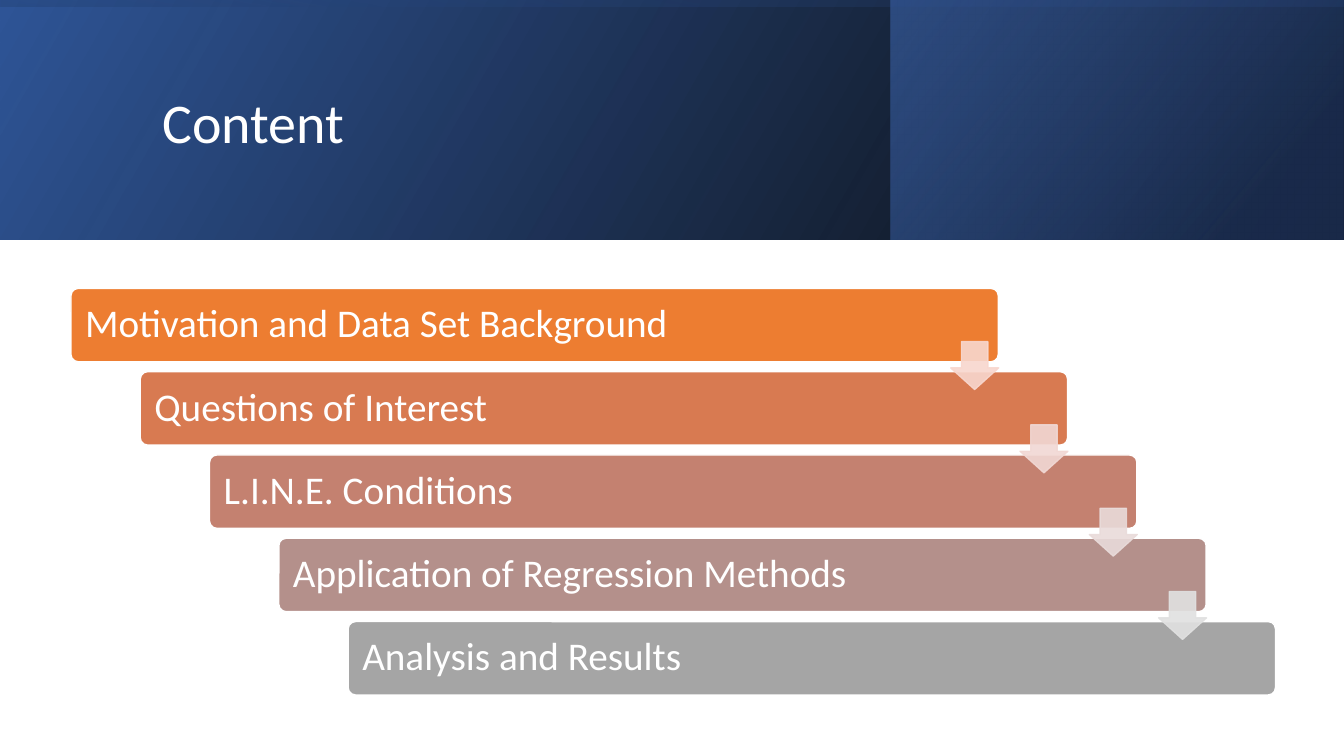
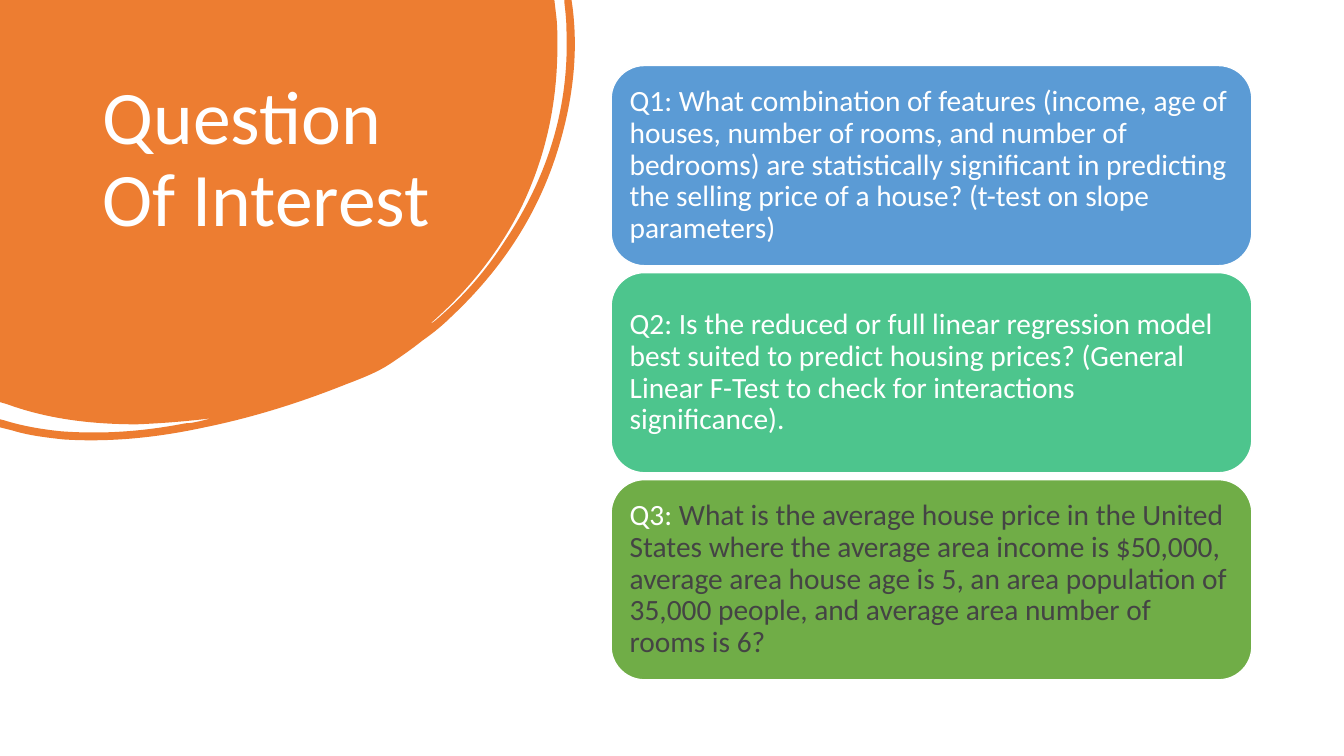
"""Build the content and question slides of a housing price regression talk."""
import lxml.etree
import pptx
import pptx.dml.color
import pptx.enum.shapes
import pptx.enum.text
import pptx.oxml.ns
import pptx.util

Pt = pptx.util.Pt
MSO = pptx.enum.shapes.MSO_SHAPE
ANCHOR = pptx.enum.text.MSO_ANCHOR
color = pptx.dml.color.RGBColor.from_string
qn = pptx.oxml.ns.qn
WHITE, ORANGE = "FFFFFF", "ED7D31"


def add_block(slide, kind, box, fill, line):
    block = slide.shapes.add_shape(kind, *[Pt(length) for length in box])
    block.shadow.inherit = False
    block.fill.solid()
    block.fill.fore_color.rgb = color(fill)
    block.line.color.rgb = color(line)
    block.line.width = Pt(1)
    return block


def write_text(shape, parts, size, anchor, margin=None):
    frame = shape.text_frame
    frame.word_wrap = True
    frame.auto_size = pptx.enum.text.MSO_AUTO_SIZE.NONE
    frame.vertical_anchor = anchor
    if margin:
        frame.margin_left = frame.margin_right = Pt(margin)
        frame.margin_top = frame.margin_bottom = Pt(margin)
    paragraph = frame.paragraphs[0]
    paragraph.alignment = pptx.enum.text.PP_ALIGN.LEFT
    paragraph.line_spacing = 0.9
    paragraph.font.name = "Calibri"
    paragraph.font.size = Pt(size)
    paragraph.font.color.rgb = color(WHITE)
    for words, tint in parts:
        run = paragraph.add_run()
        run.text = words
        if tint != WHITE:
            run.font.color.rgb = color(tint)


deck = pptx.Presentation()
deck.slide_width, deck.slide_height = Pt(960), Pt(540)
title_only = deck.slide_layouts[5]

content = deck.slides.add_slide(title_only)
bands = [
    ((0, 0, 960, 171), 0, 330, [(0, "000000", 96), (100, "2F5597", 100)]),
    ((636.3, 0, 323, 171), 0, 320, [(19, "203864", 68), (100, "4472C4", 48)]),
    ((394.5, -394.5, 171, 960), 270, 350, [(23, "2F5597", 16), (99, "000000", 45)]),
]
for box, rotation, angle, stops in bands:
    band = add_block(content, MSO.RECTANGLE, box, WHITE, WHITE)
    band.line.fill.background()
    band.rotation = rotation
    band._element.spPr.xfrm.set("flipH", "1")
    band.fill.gradient()
    band.fill.gradient_angle = 360 - angle
    for stop, (position, tint, opacity) in zip(band.fill.gradient_stops, stops):
        stop.position = position / 100
        stop.color.rgb = color(tint)
    tints = list(band._element.spPr.iter(qn("a:srgbClr")))
    for tint, (position, name, opacity) in zip(tints, stops):
        lxml.etree.SubElement(tint, qn("a:alpha"), val=str(opacity * 1000))

topics = [
    ("Motivation and Data Set Background", ORANGE),
    ("Questions of Interest", "D87A51"),
    ("L.I.N.E. Conditions", "C48170"),
    ("Application of Regression Methods", "B4908B"),
    ("Analysis and Results", "A5A5A5"),
]
STEP_X, STEP_Y = 49.5, 59.5
for index, (topic, fill) in enumerate(topics):
    box = (50.7 + index * STEP_X, 206 + index * STEP_Y, 662.4, 52.4)
    bar = add_block(content, MSO.ROUNDED_RECTANGLE, box, fill, WHITE)
    bar.adjustments[0] = 0.1
    write_text(bar, [(topic, WHITE)], 28, ANCHOR.MIDDLE, 8.6)

for index, tint in enumerate(["F8D7CE", "F1D8D4", "E9DBDA", "E1E1E1"]):
    box = (679.1 + index * STEP_X, 244 + index * STEP_Y, 34.2, 34.2)
    arrow = add_block(content, MSO.DOWN_ARROW, box, tint, tint)
    arrow.adjustments[0], arrow.adjustments[1] = 0.55, 0.45
    for paint in list(arrow._element.spPr.iter(qn("a:srgbClr"))):
        lxml.etree.SubElement(paint, qn("a:alpha"), val="90000")

questions = deck.slides.add_slide(title_only)
HUNDREDTH_INCH = Pt(0.72)
swoosh = [
    (550, 0), (552, 17), (553, 26, 553, 36, 553, 45), (553, 101, 542, 154, 518, 204),
    (496, 249, 465, 288, 427, 321), (429, 321, 430, 319, 432, 318),
    (459, 295, 482, 269, 501, 239), (543, 176, 565, 107, 562, 30),
    (562, 21, 561, 12, 560, 3), (560, 0), (567, 0), (568, 7),
    (574, 54, 568, 102, 553, 150), (533, 214, 497, 268, 448, 314),
    (439, 323, 429, 331, 419, 338), (409, 346, 399, 353, 387, 361),
    (375, 369, 360, 375, 344, 381), (299, 399, 252, 414, 203, 424),
    (157, 434, 110, 439, 63, 436), (45, 434, 28, 432, 12, 427),
    (0, 424), (0, 416), (4, 417), (23, 423, 42, 426, 61, 428),
    (103, 431, 143, 428, 184, 420), (189, 420, 193, 419, 198, 418),
    (202, 417, 206, 416, 210, 415), (186, 418, 161, 420, 136, 421),
    (92, 421, 48, 416, 7, 401), (0, 399),
]
builder = questions.shapes.build_freeform(0, 0, HUNDREDTH_INCH)
builder.add_line_segments([segment[-2:] for segment in swoosh], close=True)
backdrop = builder.convert_to_shape()
backdrop.shadow.inherit = False
backdrop.fill.solid()
backdrop.fill.fore_color.rgb = color(ORANGE)
backdrop.line.fill.background()
for edge, segment in zip(list(backdrop._element.iter(qn("a:lnTo"))), swoosh):
    if len(segment) == 6:
        curve = lxml.etree.Element(qn("a:cubicBezTo"))
        for x, y in zip(segment[::2], segment[1::2]):
            lxml.etree.SubElement(curve, qn("a:pt"), x=str(x), y=str(y))
        edge.getparent().replace(edge, curve)

cards = [
    ("5B9BD5", [("Q1: What combination of features (income, age of houses, number of rooms, and number "
                 "of bedrooms) are statistically significant in predicting the selling price of a "
                 "house? (t-test on slope parameters)", WHITE)]),
    ("4DC58D", [("Q2: Is the reduced or full linear regression model best suited to predict housing "
                 "prices? (General Linear F-Test to check for interactions significance).", WHITE)]),
    ("70AD47", [("Q3: ", WHITE),
                ("What is the average house price in the United States where the average area income "
                 "is $50,000, average area house age is 5, an area population of 35,000 people, and "
                 "average area number of rooms is 6?", "444444")]),
]
for index, (fill, parts) in enumerate(cards):
    box = (436.5, 46.8 + index * 147.9, 457.7, 143)
    card = add_block(questions, MSO.ROUNDED_RECTANGLE, box, fill, WHITE)
    write_text(card, parts, 21, ANCHOR.MIDDLE, 6.3)

headings = [
    (content, "Content", 40, ANCHOR.MIDDLE, (108.7, 27.4, 765.4, 123.8)),
    (questions, "Question Of Interest", 54, ANCHOR.TOP, (66.2, 53.3, 253.4, 159.8)),
]
for slide, words, size, anchor, box in headings:
    heading = slide.shapes.title
    heading.left, heading.top, heading.width, heading.height = [Pt(length) for length in box]
    write_text(heading, [(words, WHITE)], size, anchor)
    slide.shapes._spTree.append(heading._element)

deck.save("out.pptx")
